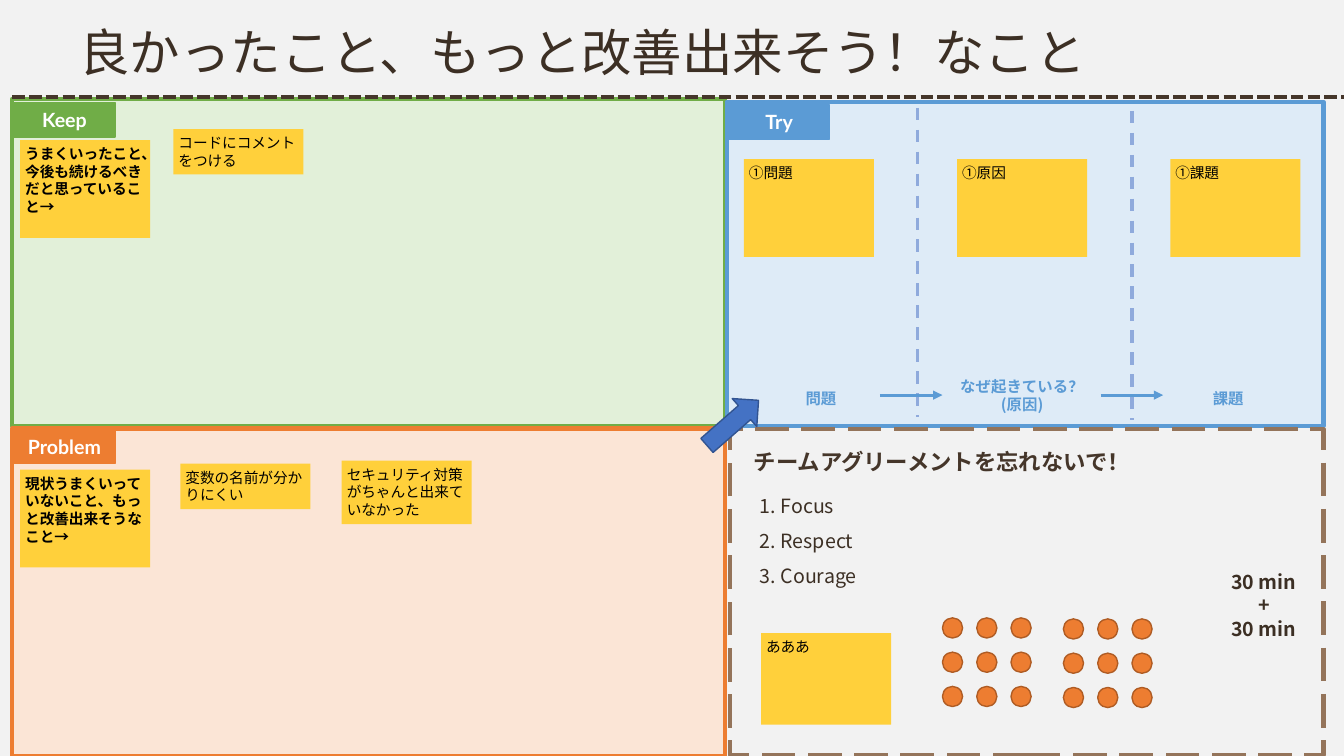
"""Build a Keep / Problem / Try retrospective board on a 160 by 90 grid."""
from dataclasses import dataclass
from itertools import product
from typing import NamedTuple, Optional

from pptx import Presentation
from pptx.dml.color import RGBColor
from pptx.enum.dml import MSO_LINE as Dash
from pptx.enum.shapes import MSO_CONNECTOR, MSO_SHAPE as Preset
from pptx.enum.text import MSO_ANCHOR as Anchor, PP_ALIGN as Align
from pptx.oxml.ns import qn
from pptx.shapes.base import BaseShape
from pptx.slide import Slide
from pptx.util import Emu, Pt
from lxml.etree import SubElement

COLUMNS, ROWS, CELL = 160, 90, 76200


@dataclass(frozen=True)
class Theme:
    paper: str = "F2F2F2"
    ink: str = "3C2F24"
    bark: str = "45362A"
    tan: str = "94745A"
    green: str = "70AD47"
    pale_green: str = "E2F0D9"
    orange: str = "ED7D31"
    pale_orange: str = "FBE5D6"
    rust: str = "AF5C24"
    blue: str = "5B9BD5"
    pale_blue: str = "DEEBF7"
    divider: str = "8FAADC"
    royal: str = "4472C4"
    navy: str = "325491"
    note: str = "FFD03B"
    black: str = "000000"
    white: str = "FFFFFF"
    title_size: float = 36
    heading_size: float = 16
    body_size: float = 14
    step_size: float = 11
    note_size: float = 10.5
    main_font: str = "Noto Sans CJK JP"
    tab_font: str = "Lato"
    note_font: str = "Arial"


THEME = Theme()


class Area(NamedTuple):
    column: float
    row: float
    columns: float
    rows: float


@dataclass(frozen=True)
class Stroke:
    color: str
    width: float = 1
    dash: Optional[Dash] = None


@dataclass(frozen=True)
class Panel:
    area: Area
    fill: Optional[str]
    stroke: Stroke


@dataclass(frozen=True)
class Rule:
    start: tuple[float, float]
    end: tuple[float, float]
    stroke: Stroke
    arrow: bool = False


@dataclass(frozen=True)
class Words:
    text: str
    size: float
    color: str = THEME.ink
    font: str = THEME.main_font
    bold: bool = False
    align: Align = Align.LEFT
    anchor: Anchor = Anchor.TOP
    spacing: float = 1
    wrap: bool = True
    inset: Optional[float] = None


@dataclass(frozen=True)
class Label:
    area: Area
    words: Words


@dataclass(frozen=True)
class Note:
    column: float
    row: float
    text: str
    rows: float = 11.64
    bold: bool = False


def cells(*counts: float) -> list[Emu]:
    return [Emu(round(count * CELL)) for count in counts]


def apply(target: object, values: dict) -> None:
    for name, value in values.items():
        setattr(target, name, value)


def paint_line(shape: BaseShape, stroke: Stroke) -> None:
    shape.line.color.rgb = RGBColor.from_string(stroke.color)
    apply(shape.line, {"width": Pt(stroke.width), "dash_style": stroke.dash})


def write(box: BaseShape, words: Words) -> None:
    frame = box.text_frame
    apply(frame, {"word_wrap": words.wrap, "vertical_anchor": words.anchor})
    if words.inset is not None:
        sides = ("left", "top", "right", "bottom")
        apply(frame, {f"margin_{side}": cells(words.inset)[0] for side in sides})
    for index, text in enumerate(words.text.split("\n")):
        para = frame.add_paragraph() if index else frame.paragraphs[0]
        apply(para, {"alignment": words.align, "line_spacing": words.spacing})
        span = para.add_run()
        span.text = text
        apply(span.font, {"size": Pt(words.size), "bold": words.bold, "name": words.font})
        span.font.color.rgb = RGBColor.from_string(words.color)
        SubElement(span.font._element, qn("a:ea"), typeface=THEME.main_font)


def draw_shape(page: Slide, area: Area, fill: Optional[str], stroke: Optional[Stroke] = None,
               preset: Preset = Preset.RECTANGLE) -> BaseShape:
    shape = page.shapes.add_shape(preset, *cells(*area))
    shape.shadow.inherit = False
    if fill:
        shape.fill.solid()
        shape.fill.fore_color.rgb = RGBColor.from_string(fill)
    else:
        shape.fill.background()
    if stroke:
        paint_line(shape, stroke)
    else:
        shape.line.fill.background()
    return shape


def draw_rule(page: Slide, rule: Rule) -> None:
    line = page.shapes.add_connector(MSO_CONNECTOR.STRAIGHT, *cells(*rule.start, *rule.end))
    paint_line(line, rule.stroke)
    if rule.arrow:
        SubElement(line.line._get_or_add_ln(), qn("a:tailEnd"), type="triangle")
    SubElement(line._element.spPr, qn("a:effectLst"))


def draw_label(page: Slide, label: Label) -> None:
    write(page.shapes.add_textbox(*cells(*label.area)), label.words)


def draw_tab(page: Slide, column: float, row: float, name: str, color: str) -> None:
    tab = draw_shape(page, Area(column, row, 12, 4.08), color, Stroke(color))
    write(tab, Words(name, THEME.body_size, THEME.white, THEME.tab_font, True,
                     Align.CENTER, Anchor.MIDDLE))


def draw_note(page: Slide, note: Note) -> None:
    font = THEME.main_font if note.bold else THEME.note_font
    box = draw_shape(page, Area(note.column, note.row, 15.48, note.rows), THEME.note)
    write(box, Words(note.text, THEME.note_size, THEME.black, font, note.bold, inset=0.6))


def step(column: float, row: float, columns: float, rows: float, text: str) -> Label:
    return Label(Area(column, row, columns, rows),
                 Words(text, THEME.step_size, THEME.blue, bold=True, align=Align.CENTER, wrap=False))


PANELS = [
    Panel(Area(1.44, 11.76, 84.84, 39), THEME.pale_green, Stroke(THEME.green, 3)),
    Panel(Area(1.44, 51, 84.84, 39), THEME.pale_orange, Stroke(THEME.orange, 3)),
    Panel(Area(86.52, 12.12, 71.04, 38.64), THEME.pale_blue, Stroke(THEME.blue, 3)),
    Panel(Area(86.88, 51.12, 70.68, 38.76), None, Stroke(THEME.tan, 3, Dash.LONG_DASH)),
]
TABS = [(1.68, 12.24, "Keep", THEME.green), (1.68, 51.12, "Problem", THEME.orange),
        (86.76, 12.48, "Try", THEME.blue)]
RULES = [Rule((1.44, 11.52), (COLUMNS, 11.52), Stroke(THEME.bark, 3, Dash.SQUARE_DOT))]
RULES += [Rule((column, row), (column, row + 36.84), Stroke(THEME.divider, 2.25, Dash.DASH))
          for column, row in ((109.2, 12.84), (134.76, 13.2))]
RULES += [Rule((column, 47.04), (column + 7.44, 47.04), Stroke(THEME.blue, 2.25), True)
          for column in (104.76, 131.04)]
LABELS = [
    Label(Area(8.28, 2.76, 138, 11.64),
          Words("良かったこと、もっと改善出来そう！なこと", THEME.title_size, spacing=0.9)),
    Label(Area(144.72, 67.2, 11.52, 9.72),
          Words("30 min\n+\n30 min", THEME.body_size, bold=True, align=Align.CENTER)),
    Label(Area(88.56, 52.8, 48.24, 4.44),
          Words("チームアグリーメントを忘れないで！", THEME.heading_size, THEME.bark, bold=True, wrap=False)),
    Label(Area(89.28, 56.76, 15, 13.56),
          Words("1. Focus\n2. Respect\n3. Courage", THEME.body_size, spacing=1.5, wrap=False)),
    step(94.68, 45.72, 6.12, 3.48, "問題"),
    step(113.04, 44.28, 17.28, 5.64, "なぜ起きている？\n(原因)"),
    step(143.16, 45.72, 6.12, 3.48, "課題"),
]
NOTES = [
    Note(2.4, 16.68, "うまくいったこと、今後も続けるべきだと思っていること→", bold=True),
    Note(2.4, 55.92, "現状うまくいっていないこと、もっと改善出来そうなこと→", bold=True),
    Note(20.64, 15.36, "コードにコメントをつける", 5.4),
    Note(21.48, 55.2, "変数の名前が分かりにくい", 5.4),
    Note(40.68, 54.84, "セキュリティ対策がちゃんと出来ていなかった", 7.56),
    Note(90.6, 75.36, "あああ", 10.92),
]
NOTES += [Note(88.56 + 25.38 * index, 18.96, text)
          for index, text in enumerate(("①問題", "①原因", "①課題"))]
DOT_GROUPS = [(112.2, 73.56), (126.6, 73.68)]


def main() -> None:
    deck = Presentation()
    deck.slide_width, deck.slide_height = cells(COLUMNS, ROWS)
    page = deck.slides.add_slide(deck.slide_layouts[6])
    page.background.fill.solid()
    page.background.fill.fore_color.rgb = RGBColor.from_string(THEME.paper)
    for panel in PANELS:
        draw_shape(page, panel.area, panel.fill, panel.stroke)
    for tab in TABS:
        draw_tab(page, *tab)
    for rule in RULES:
        draw_rule(page, rule)
    for label in LABELS:
        draw_label(page, label)
    for note in NOTES:
        draw_note(page, note)
    pointer = draw_shape(page, Area(83.16, 48.12, 8.16, 4.44), THEME.royal,
                         Stroke(THEME.navy), Preset.RIGHT_ARROW)
    pointer.rotation = 318.8
    for (left, top), row, column in product(DOT_GROUPS, range(3), range(3)):
        draw_shape(page, Area(left + 4.08 * column, top + 4.08 * row, 2.4, 2.4),
                   THEME.orange, Stroke(THEME.rust), Preset.OVAL)
    deck.save("out.pptx")


if __name__ == "__main__":
    main()
